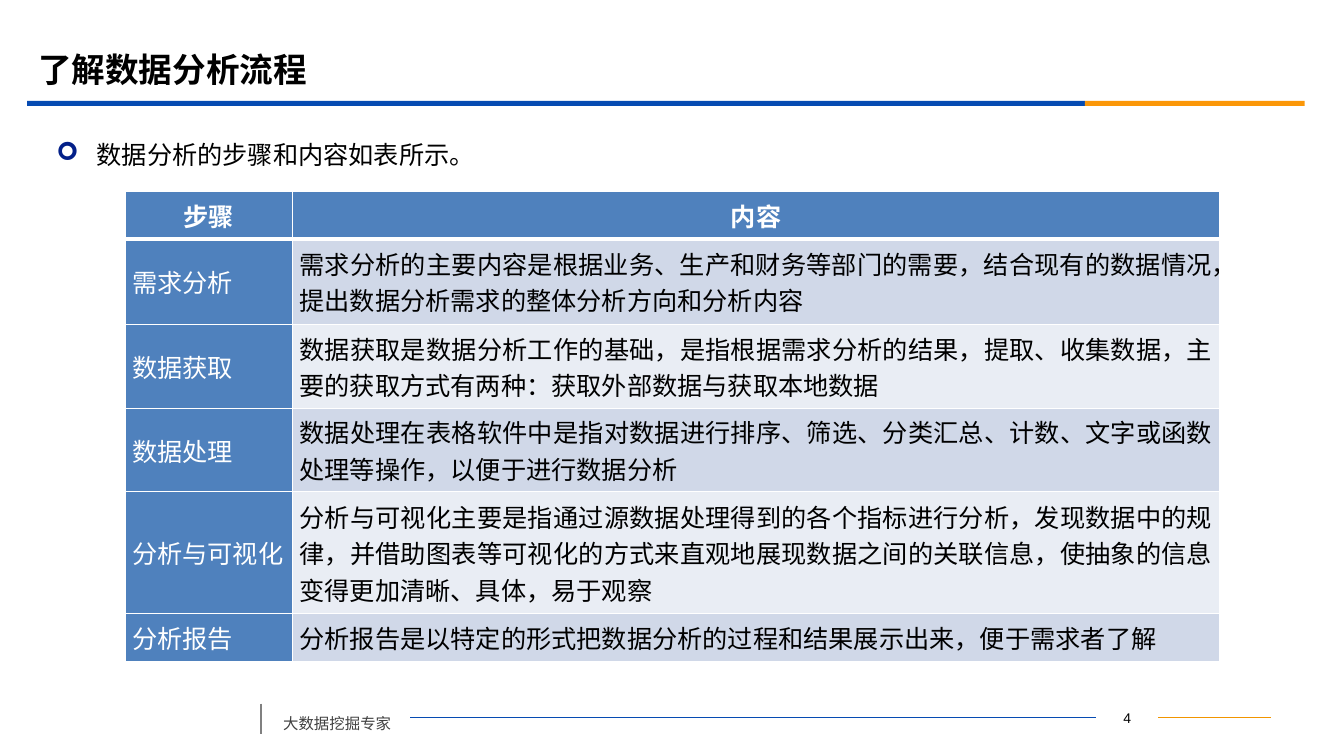
from dataclasses import dataclass

from lxml.etree import SubElement
from pptx import Presentation
from pptx.dml.color import RGBColor
from pptx.enum.shapes import MSO_CONNECTOR, MSO_SHAPE
from pptx.enum.text import MSO_ANCHOR, PP_ALIGN
from pptx.oxml.ns import qn
from pptx.util import Inches, Pt

BLACK = RGBColor(0x00, 0x00, 0x00)
WHITE = RGBColor(0xFF, 0xFF, 0xFF)
BLUE = RGBColor(0x06, 0x4B, 0xB2)
ORANGE = RGBColor(0xFB, 0x97, 0x08)
DARK_ORANGE = RGBColor(0xF1, 0x95, 0x00)
GRAY = RGBColor(0x80, 0x80, 0x80)
DARK_GRAY = RGBColor(0x40, 0x40, 0x40)
BULLET_BLUE = RGBColor(0x03, 0x20, 0x89)
HEADER_BLUE = RGBColor(0x4F, 0x81, 0xBD)
BANDS = (RGBColor(0xD0, 0xD8, 0xE8), RGBColor(0xE9, 0xED, 0xF4))
CHINESE_FONT = "Noto Sans CJK SC"


@dataclass(frozen=True)
class Label:
    text: str
    left: float
    top: float
    width: float
    height: float
    size: float
    color: RGBColor = BLACK
    bold: bool = False
    font: str = CHINESE_FONT
    alignment: PP_ALIGN = PP_ALIGN.LEFT
    anchor: MSO_ANCHOR = MSO_ANCHOR.TOP
    line_spacing: float = 1.0
    bullet: str = ""


@dataclass(frozen=True)
class Rule:
    start: tuple[float, float]
    end: tuple[float, float]
    color: RGBColor
    width: float


@dataclass(frozen=True)
class Bar:
    left: float
    width: float
    color: RGBColor


@dataclass(frozen=True)
class Step:
    name: str
    content: str
    height: float


BARS = (Bar(0.27, 10.49, BLUE), Bar(10.76, 2.18, ORANGE))
RULES = (
    Rule((11.49, 7.12), (12.61, 7.12), DARK_ORANGE, 0.75),
    Rule((4.07, 7.12), (10.87, 7.12), BLUE, 0.75),
    Rule((2.59, 6.98), (2.59, 7.28), GRAY, 1.25),
)
LABELS = (
    Label("了解数据分析流程", 0.28, 0.39, 12, 0.58, 24, bold=True, anchor=MSO_ANCHOR.MIDDLE),
    Label("数据分析的步骤和内容如表所示。", 0.46, 1.18, 12.15, 0.65, 18, line_spacing=1.5, bullet="➢"),
    Label("大数据挖掘专家", 2.71, 6.94, 1.36, 0.38, 11, DARK_GRAY, line_spacing=1.5),
    Label("4", 10.87, 6.99, 0.62, 0.25, 10, font="Arial", alignment=PP_ALIGN.CENTER),
)
HEADER = Step("步骤", "内容", 0.47)
STEPS = (
    Step("需求分析", "需求分析的主要内容是根据业务、生产和财务等部门的需要，结合现有的数据情况，提出数据分析需求的整体分析方向和分析内容", 0.85),
    Step("数据获取", "数据获取是数据分析工作的基础，是指根据需求分析的结果，提取、收集数据，主要的获取方式有两种：获取外部数据与获取本地数据", 0.83),
    Step("数据处理", "数据处理在表格软件中是指对数据进行排序、筛选、分类汇总、计数、文字或函数处理等操作，以便于进行数据分析", 0.83),
    Step("分析与可视化", "分析与可视化主要是指通过源数据处理得到的各个指标进行分析，发现数据中的规律，并借助图表等可视化的方式来直观地展现数据之间的关联信息，使抽象的信息变得更加清晰、具体，易于观察", 1.21),
    Step("分析报告", "分析报告是以特定的形式把数据分析的过程和结果展示出来，便于需求者了解", 0.47),
)
COLUMN_WIDTHS = (1.66, 9.2)
CELL_FORMAT = {
    "margin_left": Inches(0.07),
    "margin_right": Inches(0.07),
    "margin_top": 0,
    "margin_bottom": 0,
    "vertical_anchor": MSO_ANCHOR.MIDDLE,
}


def set_attributes(target, values: dict) -> None:
    for name, value in values.items():
        setattr(target, name, value)


def write_text(paragraph, text: str, size: float, color: RGBColor, bold: bool, font: str = CHINESE_FONT) -> None:
    run = paragraph.add_run()
    run.text = text
    set_attributes(run.font, {"name": font, "size": Pt(size), "bold": bold})
    run.font.color.rgb = color
    SubElement(run.font._element, qn("a:ea"), typeface=font)


def add_bullet(paragraph, character: str) -> None:
    properties = paragraph._p.get_or_add_pPr()
    properties.set("marL", str(Inches(0.4)))
    properties.set("indent", str(-Inches(0.4)))
    color = SubElement(properties, qn("a:buClr"))
    SubElement(color, qn("a:srgbClr"), val=str(BULLET_BLUE))
    SubElement(properties, qn("a:buFont"), typeface="Wingdings")
    SubElement(properties, qn("a:buChar"), char=character)


def add_label(slide, label: Label) -> None:
    box = slide.shapes.add_textbox(*map(Inches, (label.left, label.top, label.width, label.height)))
    set_attributes(box.text_frame, {"word_wrap": True, "vertical_anchor": label.anchor})
    paragraph = box.text_frame.paragraphs[0]
    if label.bullet:
        add_bullet(paragraph, label.bullet)
    set_attributes(paragraph, {"alignment": label.alignment, "line_spacing": label.line_spacing})
    write_text(paragraph, label.text, label.size, label.color, label.bold, label.font)


def add_rule(slide, rule: Rule) -> None:
    connector = slide.shapes.add_connector(MSO_CONNECTOR.STRAIGHT, *map(Inches, rule.start + rule.end))
    connector.line.color.rgb = rule.color
    connector.line.width = Pt(rule.width)
    SubElement(connector._element.spPr, qn("a:effectLst"))


def add_bar(slide, bar: Bar) -> None:
    shape = slide.shapes.add_shape(MSO_SHAPE.RECTANGLE, *map(Inches, (bar.left, 1, bar.width, 0.05)))
    shape.shadow.inherit = False
    shape.fill.solid()
    shape.fill.fore_color.rgb = bar.color
    shape.line.fill.background()


def add_borders(cell, widths: dict[str, float]) -> None:
    properties = cell._tc.get_or_add_tcPr()
    for side, width in widths.items():
        border = SubElement(properties, qn(f"a:ln{side}"), w=str(Pt(width)))
        fill = SubElement(border, qn("a:solidFill"))
        SubElement(fill, qn("a:srgbClr"), val=str(WHITE))


def add_steps_table(slide) -> None:
    rows = (HEADER, *STEPS)
    height = sum(row.height for row in rows)
    frame = slide.shapes.add_table(
        len(rows), len(COLUMN_WIDTHS), *map(Inches, (1.24, 1.9, sum(COLUMN_WIDTHS), height))
    )
    table = frame.table
    for column, width in zip(table.columns, COLUMN_WIDTHS):
        column.width = Inches(width)
    for row_index, step in enumerate(rows):
        table.rows[row_index].height = Inches(step.height)
        is_header = row_index == 0
        for column_index, text in enumerate((step.name, step.content)):
            is_content = column_index == 1 and not is_header
            cell = table.cell(row_index, column_index)
            set_attributes(cell, CELL_FORMAT)
            top = 3 if row_index == 1 else 1
            bottom = 3 if is_header else 1
            add_borders(cell, {"L": 1, "R": 1, "T": top, "B": bottom})
            cell.fill.solid()
            cell.fill.fore_color.rgb = BANDS[(row_index - 1) % 2] if is_content else HEADER_BLUE
            paragraph = cell.text_frame.paragraphs[0]
            paragraph.alignment = PP_ALIGN.CENTER if is_header else PP_ALIGN.JUSTIFY
            if is_content:
                paragraph.line_spacing = Pt(26)
            write_text(paragraph, text, 18, BLACK if is_content else WHITE, is_header)


def main() -> None:
    presentation = Presentation()
    set_attributes(presentation, {"slide_width": Inches(13.33), "slide_height": Inches(7.5)})
    slide = presentation.slides.add_slide(presentation.slide_layouts[6])
    for bar in BARS:
        add_bar(slide, bar)
    for rule in RULES:
        add_rule(slide, rule)
    for label in LABELS:
        add_label(slide, label)
    add_steps_table(slide)
    presentation.save("out.pptx")


if __name__ == "__main__":
    main()
